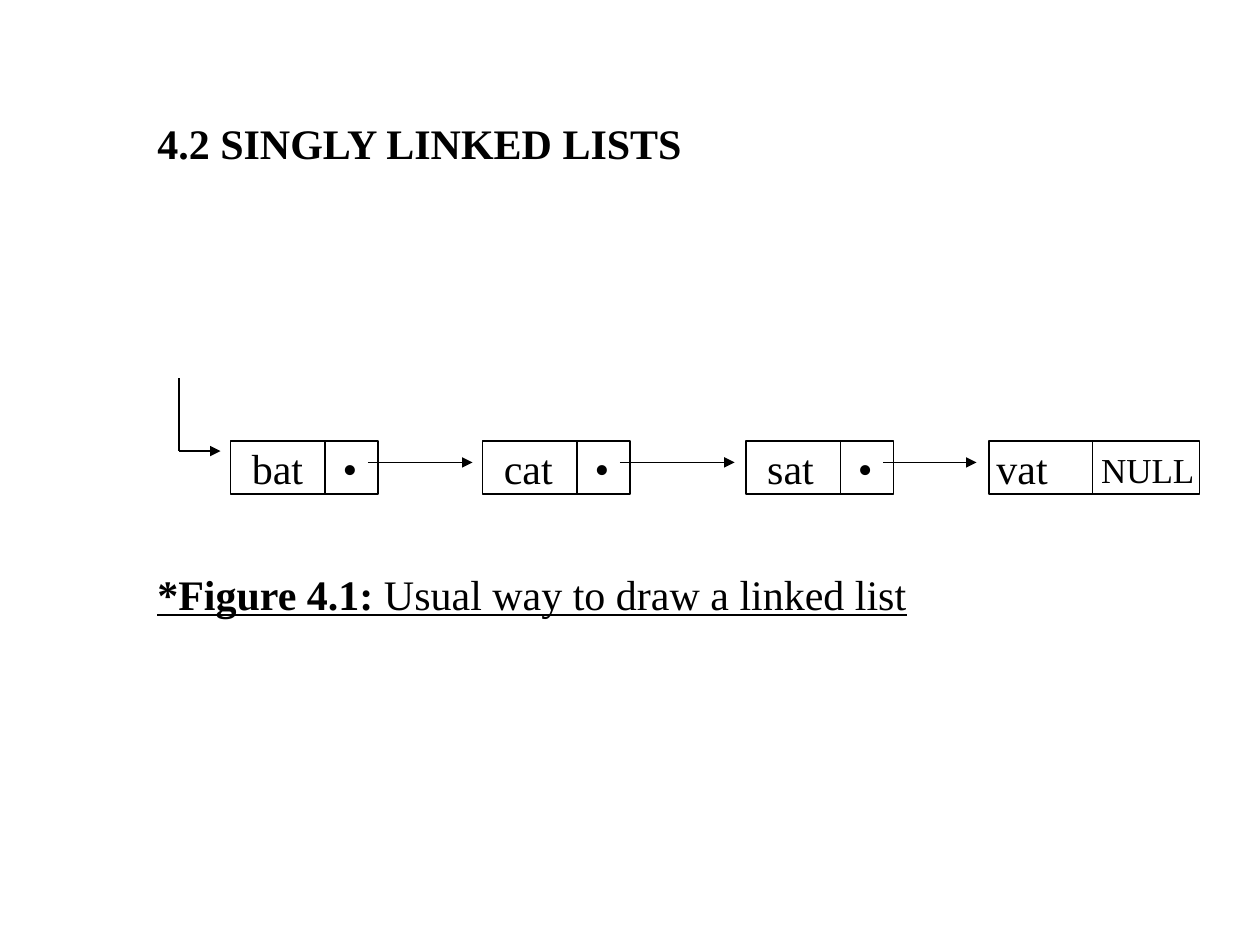
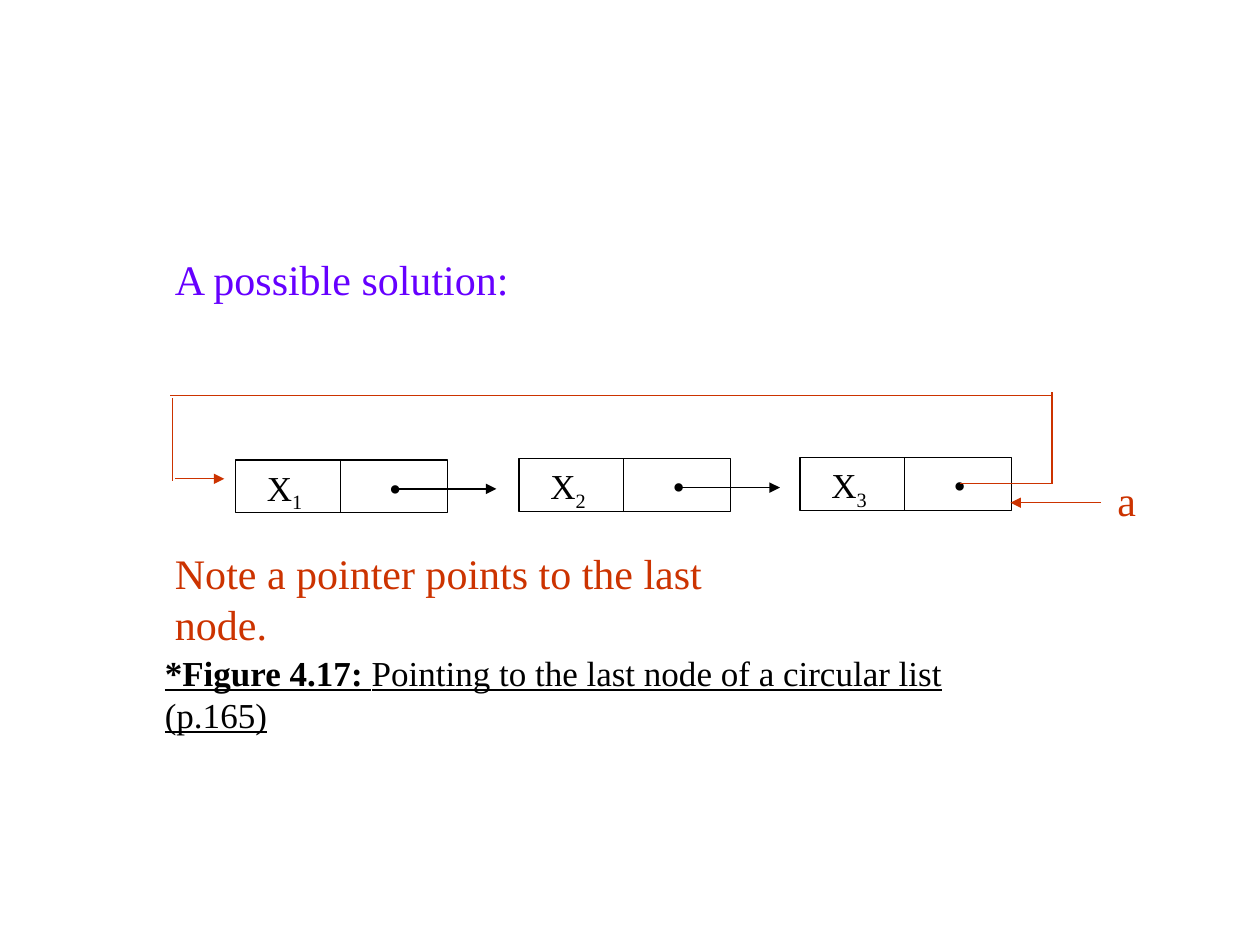
from pptx import Presentation
from pptx.dml.color import RGBColor
from pptx.enum.shapes import MSO_CONNECTOR, MSO_SHAPE
from pptx.oxml.ns import qn
from pptx.util import Inches, Pt
from lxml import etree

RECT = MSO_SHAPE.RECTANGLE
STRAIGHT = MSO_CONNECTOR.STRAIGHT
FONT = "Times New Roman"
BLACK, RED, VIOLET = "000000", "CC3300", "6600FF"
NODE_H = 0.42


def rgb(color):
    """Turn a hex string into a colour."""
    return RGBColor.from_string(color)


def add_run(p, text, size=24, color=BLACK, bold=False, underline=False, baseline=None):
    """Append a formatted run to a paragraph."""
    r = p.add_run()
    r.text = text
    r.font.name = FONT
    r.font.size = Pt(size)
    r.font.bold = bold
    r.font.underline = underline
    r.font.color.rgb = rgb(color)
    if baseline is not None:
        r.font._element.set("baseline", str(baseline * 1000))


def add_text(s, x, y, w, text, h=0.5, wrap=False, **fmt):
    """Add a text box with one run and return its paragraph."""
    tf = s.shapes.add_textbox(Inches(x), Inches(y), Inches(w), Inches(h)).text_frame
    tf.word_wrap = wrap
    p = tf.paragraphs[0]
    add_run(p, text, **fmt)
    return p


def add_caption(s, x, y, w, label, text, size=24, wrap=False):
    """Add an underlined figure caption with a bold label."""
    p = add_text(s, x, y, w, label, wrap=wrap, size=size, bold=True, underline=True)
    add_run(p, text, size=size, underline=True)


def add_line(s, start, end, color=BLACK, arrow=False):
    """Draw a thin straight line, with an arrowhead at its end if asked."""
    points = [Inches(v) for v in (*start, *end)]
    line = s.shapes.add_connector(STRAIGHT, *points)
    line.line.color.rgb = rgb(color)
    line.line.width = Pt(0.75)
    if arrow:
        tail = etree.SubElement(line.line._get_or_add_ln(), qn("a:tailEnd"))
        tail.set("type", "triangle")
    etree.SubElement(line._element.spPr, qn("a:effectLst"))


def add_node(s, x, y, w, split):
    """Draw a list node with a data field and a link field."""
    sp = s.shapes.add_shape(RECT, Inches(x), Inches(y), Inches(w), Inches(NODE_H))
    sp.shadow.inherit = False
    sp.fill.background()
    sp.line.color.rgb = rgb(BLACK)
    sp.line.width = Pt(0.75)
    add_line(s, (x + split, y), (x + split, y + NODE_H))


def build_singly_linked(s):
    """Build the singly linked list slide."""
    y, text_y, link_y = 3.5, 3.46, 3.67
    add_text(s, 1.15, 0.88, 4.41, "4.2 SINGLY LINKED LISTS", bold=True)
    add_line(s, (1.42, 3), (1.42, 3.58))
    add_line(s, (1.42, 3.58), (1.75, 3.58), arrow=True)
    for x, word, link_end in ((1.83, "bat", 3.75), (3.83, "cat", 5.83), (5.92, "sat", 7.75)):
        add_node(s, x, y, 1.17, 0.75)
        add_text(s, x + 0.07, text_y, 0.65, word)
        add_text(s, x + 0.79, text_y, 0.35, "•")
        add_line(s, (x + 1.09, link_y), (link_end, link_y), arrow=True)
    add_node(s, 7.85, y, 1.67, 0.82)
    add_text(s, 7.81, text_y, 0.65, "vat")
    add_text(s, 8.64, text_y + 0.05, 0.96, "NULL", h=0.43, size=20)
    add_caption(s, 1.15, 4.46, 6.4, "*Figure 4.1: ", "Usual way to draw a linked list")


def build_circular(s):
    """Build the circular list slide."""
    add_text(s, 1.29, 1.96, 2.87, "A possible solution:", color=VIOLET)
    nodes = ((1.87, 3.65), (4.12, 3.64), (6.35, 3.63))
    for number, (x, y) in enumerate(nodes, 1):
        add_node(s, x, y, 1.68, 0.83)
        p = add_text(s, x + 0.15, y, 0.5, "X", h=0.43, size=20)
        add_run(p, str(number), size=20, baseline=-25)
        add_text(s, x + 1.12, y, 0.31, "•", h=0.43, size=20)
        if number < len(nodes):
            add_line(s, (x + 1.29, y + 0.23), (x + 2.07, y + 0.23), arrow=True)
    loop = (((7.62, 3.84), (8.35, 3.84)), ((8.35, 3.84), (8.35, 3.11)),
            ((8.35, 3.14), (1.35, 3.14)), ((1.37, 3.16), (1.37, 3.82)))
    for start, end in loop:
        add_line(s, start, end, RED)
    add_line(s, (1.39, 3.8), (1.78, 3.8), RED, arrow=True)
    add_line(s, (8.74, 3.99), (8.02, 3.99), RED, arrow=True)
    add_text(s, 8.77, 3.72, 0.35, "a", color=RED)
    add_text(s, 1.29, 4.3, 5, "Note a pointer points to the last node.", wrap=True, color=RED)
    add_caption(s, 1.21, 5.12, 7, "*Figure 4.17: ",
                "Pointing to the last node of a circular list (p.165)", size=20, wrap=True)


def main():
    """Build both slides and save the deck."""
    prs = Presentation()
    prs.slide_width, prs.slide_height = Inches(10), Inches(7.5)
    for build in (build_singly_linked, build_circular):
        build(prs.slides.add_slide(prs.slide_layouts[6]))
    prs.save("out.pptx")


if __name__ == "__main__":
    main()
